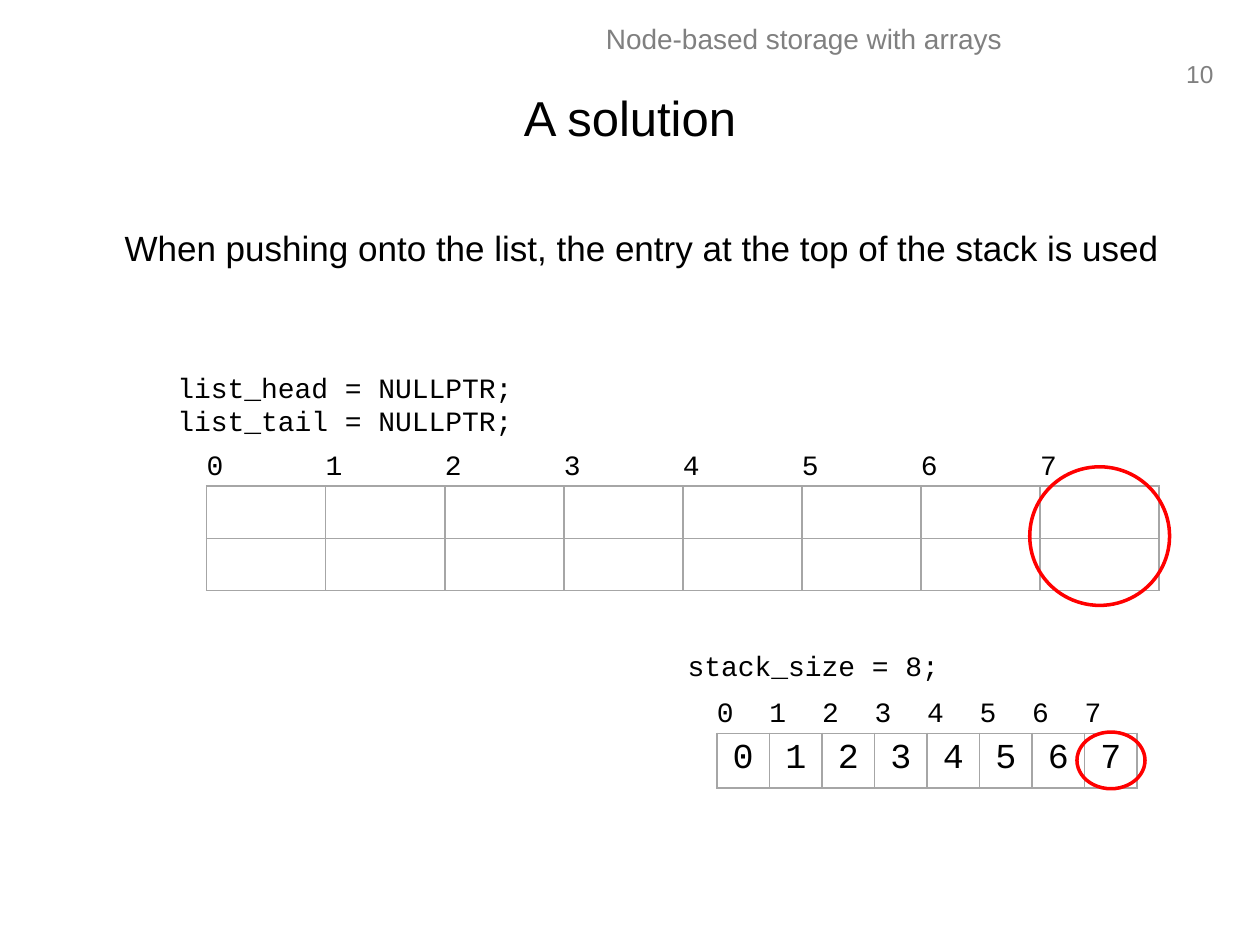
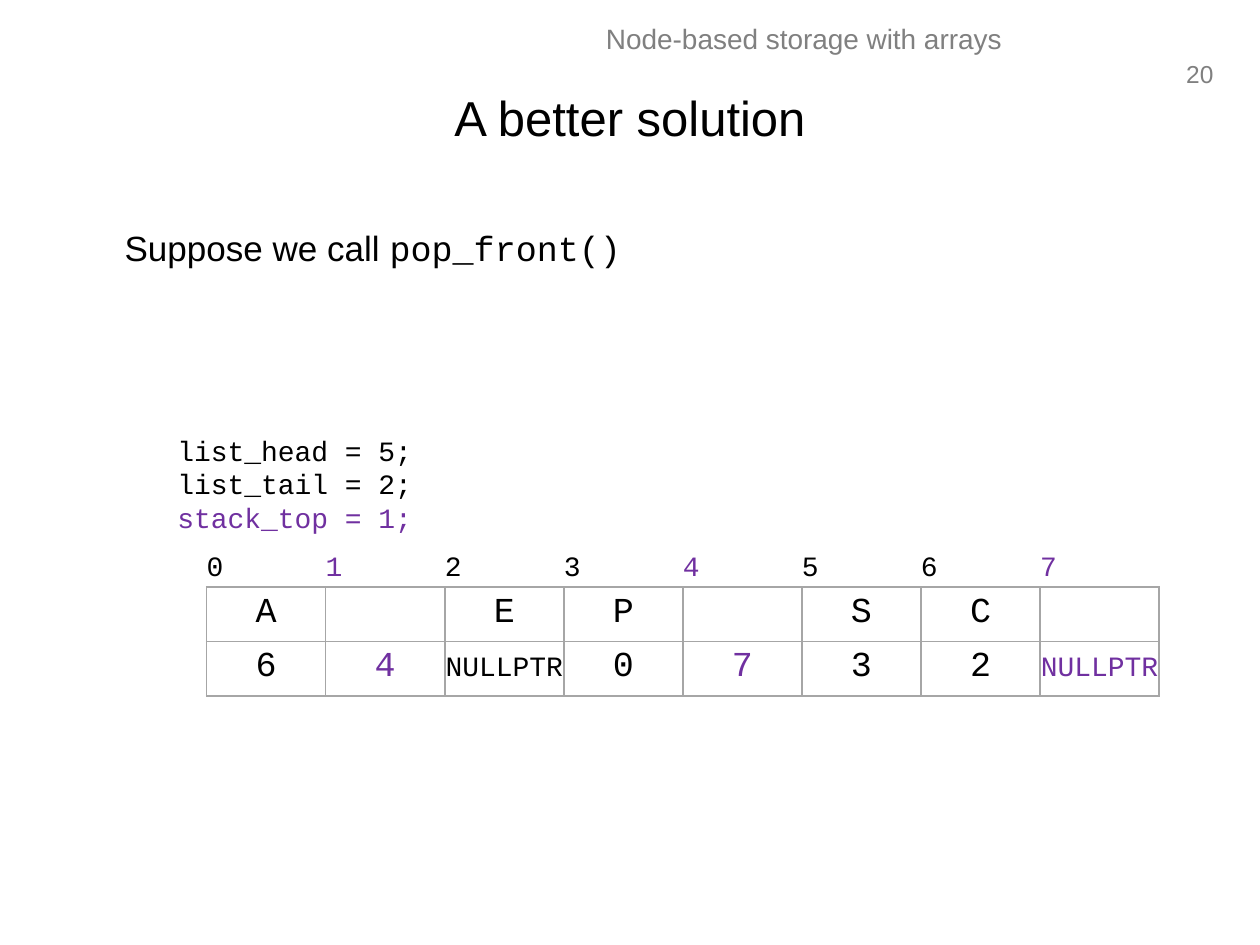
from lxml.etree import SubElement
from pptx import Presentation
from pptx.dml.color import RGBColor
from pptx.enum.shapes import MSO_SHAPE
from pptx.enum.text import MSO_ANCHOR, PP_ALIGN
from pptx.oxml.ns import qn
from pptx.util import Inches, Pt

COLORS = {"text": "000000", "muted": "808080", "grid": "A6A6A6",
          "free": "7030A0", "ring": "FF0000"}
SANS, MONO = "Arial", "Courier New"
NO_STYLE = "{2D5ABB26-0587-4C30-8999-92F81FD0307C}"
SLOTS = 8
INDICES = [str(i) for i in range(SLOTS)]

# Array geometry in inches: left edge, column width, index row, value row
NODES = {"left": 1.64, "col": 0.945, "head": 0.25, "row": 0.415}
STACK = {"left": 5.69, "col": 0.417, "head": 0.27, "row": 0.43}

SLIDES = [
    {"number": 10, "title": "A solution",
     "body": "When pushing onto the list, the entry at the top of the stack is used",
     "call": "",
     "code": [(1.31, 2.89, 3.47, ["list_head = NULLPTR;", "list_tail = NULLPTR;"]),
              (5.36, 5.1, 2.39, ["stack_size = 8;"])],
     "arrays": [(NODES, 3.59, [[""] * SLOTS] * 2), (STACK, 5.55, [INDICES])],
     "free": [],
     "rings": [(NODES, 3.59, 2, 1.11, 1.1), (STACK, 5.55, 1, 0.54, 0.45)]},
    {"number": 20, "title": "A better solution",
     "body": "Suppose we call ", "call": "pop_front()",
     "code": [(1.31, 3.39, 2.39,
               ["list_head = 5;", "list_tail = 2;", "stack_top = 1;"])],
     "arrays": [(NODES, 4.39, [["A", "", "E", "P", "", "S", "C", ""],
                               ["6", "4", "NULLPTR", "0", "7", "3", "2", "NULLPTR"]])],
     "free": [1, 4, 7],
     "rings": []},
]


def add_text(s, text, x, y, w, h, size, color="text", font=SANS, align=PP_ALIGN.LEFT):
    tf = s.shapes.add_textbox(Inches(x), Inches(y), Inches(w), Inches(h)).text_frame
    tf.word_wrap = True
    tf.text = text
    for p in tf.paragraphs:
        p.alignment = align
        for r in p.runs:
            r.font.size, r.font.name = Pt(size), font
            r.font.color.rgb = RGBColor.from_string(COLORS[color])
    return tf


def add_array(s, geo, top, rows, free):
    """Draw an array as a table with its indices above; free columns are purple."""
    height = geo["head"] + len(rows) * geo["row"]
    frame = s.shapes.add_table(len(rows) + 1, SLOTS, Inches(geo["left"]), Inches(top),
                               Inches(SLOTS * geo["col"]), Inches(height))
    table = frame.table
    table.first_row = table.horz_banding = False
    table._tbl.tblPr.find(qn("a:tableStyleId")).text = NO_STYLE
    for col in table.columns:
        col.width = Inches(geo["col"])
    for i, values in enumerate([INDICES] + rows):
        table.rows[i].height = Inches(geo["row"] if i else geo["head"])
        for j, value in enumerate(values):
            cell = table.cell(i, j)
            small = i == 0 or len(value) > 1
            if small:
                cell.margin_left = cell.margin_right = 0
                cell.margin_top = cell.margin_bottom = 0
            if small and i:
                cell.vertical_anchor = MSO_ANCHOR.MIDDLE
            p = cell.text_frame.paragraphs[0]
            p.text = value
            p.alignment = PP_ALIGN.CENTER if i else PP_ALIGN.LEFT
            for r in p.runs:
                r.font.size, r.font.name = Pt(16 if small else 20), MONO
                r.font.color.rgb = RGBColor.from_string(
                    COLORS["free" if j in free else "text"])
            tcPr = cell._tc.get_or_add_tcPr()
            for side in ("L", "R", "T", "B") if i else ("B",):
                ln = SubElement(tcPr, qn(f"a:ln{side}"), w=str(Pt(1)))
                fill = SubElement(ln, qn("a:solidFill"))
                SubElement(fill, qn("a:srgbClr"), val=COLORS["grid"])
            cell.fill.background()


prs = Presentation()
prs.slide_width, prs.slide_height = Inches(10), Inches(7.5)

for page in SLIDES:
    s = prs.slides.add_slide(prs.slide_layouts[6])

    tf = add_text(s, str(page["number"]), 9.29, 0.42, 0.44, 0.33, 14, "muted",
                  align=PP_ALIGN.RIGHT)
    tf.word_wrap = False
    add_text(s, "Node-based storage with arrays", 3.19, 0.12, 6.38, 0.4, 16, "muted",
             align=PP_ALIGN.CENTER)
    tf = add_text(s, page["title"], 0.5, 0.3, 9, 1.25, 28, align=PP_ALIGN.CENTER)
    tf.vertical_anchor = MSO_ANCHOR.MIDDLE

    tf = add_text(s, page["body"], 0.5, 1.75, 9, 4.95, 20)
    p = tf.paragraphs[0]
    p._p.get_or_add_pPr().set("marL", str(Inches(0.39)))
    if page["call"]:
        r = p.add_run()
        r.text = page["call"]
        r.font.size, r.font.name = Pt(20), MONO
        r.font.color.rgb = RGBColor.from_string(COLORS["text"])

    for geo, top, rows in page["arrays"]:
        add_array(s, geo, top, rows, page["free"])

    for x, y, w, lines in page["code"]:
        tf = add_text(s, "\n".join(lines), x, y, w, 0.1 + 0.27 * len(lines), 16, font=MONO)
        for p in tf.paragraphs:
            if p.text.startswith("stack_top"):
                p.runs[0].font.color.rgb = RGBColor.from_string(COLORS["free"])

    # Each ring is centred on the last column of its array
    for geo, top, count, w, h in page["rings"]:
        cx = geo["left"] + (SLOTS - 0.5) * geo["col"]
        cy = top + geo["head"] + count * geo["row"] / 2
        sp = s.shapes.add_shape(MSO_SHAPE.OVAL, Inches(cx - w / 2), Inches(cy - h / 2),
                                Inches(w), Inches(h))
        sp.shadow.inherit = False
        sp.fill.background()
        sp.line.color.rgb = RGBColor.from_string(COLORS["ring"])
        sp.line.width = Pt(2)

prs.save("out.pptx")
